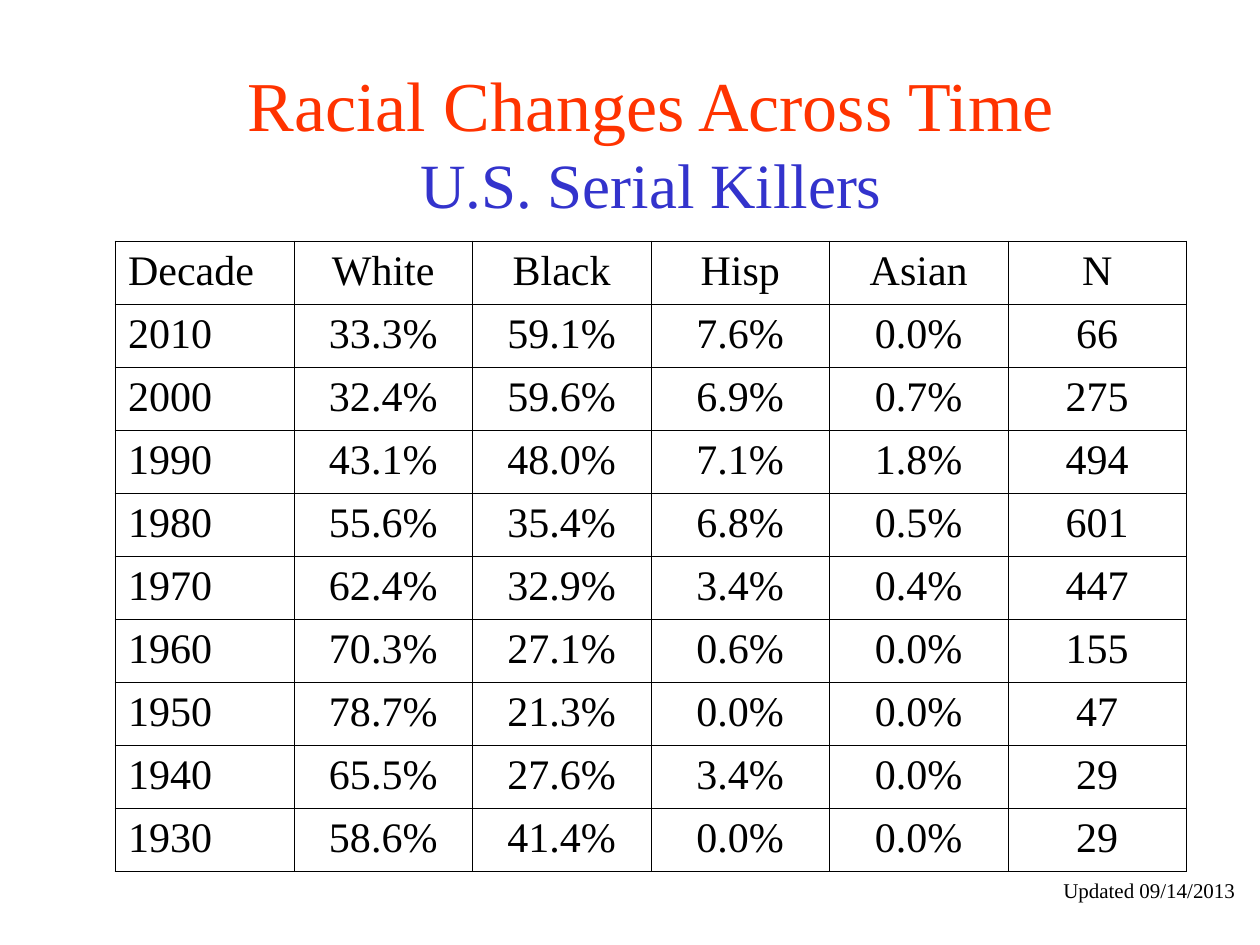
from dataclasses import dataclass

from lxml import etree
from pptx import Presentation
from pptx.dml.color import RGBColor
from pptx.enum.text import MSO_ANCHOR, MSO_AUTO_SIZE, PP_ALIGN
from pptx.oxml.ns import qn
from pptx.util import Pt

LEFT, CENTER = PP_ALIGN.LEFT, PP_ALIGN.CENTER
TOP, MIDDLE = MSO_ANCHOR.TOP, MSO_ANCHOR.MIDDLE
NO_FIT, GROW = MSO_AUTO_SIZE.NONE, MSO_AUTO_SIZE.SHAPE_TO_FIT_TEXT
TITLE_ONLY = 5


@dataclass(frozen=True)
class Theme:
    face: str = "Times New Roman"
    red: str = "FF3300"
    blue: str = "3333CC"
    ink: str = "000000"
    head: int = 40
    sub: int = 36
    cell: int = 24
    note: int = 12
    thin: float = 0.45
    thick: float = 1.08


THEME = Theme()

RATES = [
    ("Decade", "White", "Black", "Hisp", "Asian", "N"),
    ("2010", "33.3%", "59.1%", "7.6%", "0.0%", "66"),
    ("2000", "32.4%", "59.6%", "6.9%", "0.7%", "275"),
    ("1990", "43.1%", "48.0%", "7.1%", "1.8%", "494"),
    ("1980", "55.6%", "35.4%", "6.8%", "0.5%", "601"),
    ("1970", "62.4%", "32.9%", "3.4%", "0.4%", "447"),
    ("1960", "70.3%", "27.1%", "0.6%", "0.0%", "155"),
    ("1950", "78.7%", "21.3%", "0.0%", "0.0%", "47"),
    ("1940", "65.5%", "27.6%", "3.4%", "0.0%", "29"),
    ("1930", "58.6%", "41.4%", "0.0%", "0.0%", "29"),
]


def put(item, values):
    for name, value in values.items():
        setattr(item, name, value)


def add_run(para, text, size, color):
    run = para.add_run()
    run.text = text
    put(run.font, {"name": THEME.face, "size": Pt(size), "bold": False})
    run.font.color.rgb = RGBColor.from_string(color)


def add_title(slide):
    title = slide.shapes.title
    put(title, {"left": Pt(66), "top": Pt(36),
                "width": Pt(612), "height": Pt(90)})
    frame = title.text_frame
    put(frame, {"vertical_anchor": MIDDLE, "auto_size": NO_FIT,
                "word_wrap": True})
    para = frame.paragraphs[0]
    para.alignment = CENTER
    add_run(para, "Racial Changes Across Time", THEME.head, THEME.red)
    para.add_line_break()
    add_run(para, "U.S. Serial Killers", THEME.sub, THEME.blue)


def add_edge(cell, side, width):
    props = cell._tc.get_or_add_tcPr()
    line = etree.SubElement(props, qn(f"a:ln{side}"), w=str(Pt(width)))
    fill = etree.SubElement(line, qn("a:solidFill"))
    etree.SubElement(fill, qn("a:srgbClr"), val=THEME.ink)


def add_grid(slide, data):
    rows, cols = len(data), len(data[0])
    grid = slide.shapes.add_table(
        rows, cols, Pt(66), Pt(138), Pt(612), Pt(360)).table
    put(grid, {"first_row": False, "horz_banding": False})
    for r, row in enumerate(data):
        for c, text in enumerate(row):
            cell = grid.cell(r, c)
            put(cell, {"vertical_anchor": TOP,
                       "margin_left": Pt(7.2), "margin_right": Pt(7.2),
                       "margin_top": Pt(3.6), "margin_bottom": Pt(3.6)})
            para = cell.text_frame.paragraphs[0]
            para.alignment = CENTER if c else LEFT
            add_run(para, text, THEME.cell, THEME.ink)
            # Outer edges are thicker than inner ones
            outer = {"L": c == 0, "R": c == cols - 1,
                     "T": r == 0, "B": r == rows - 1}
            for side, edge in outer.items():
                add_edge(cell, side, THEME.thick if edge else THEME.thin)
            cell.fill.background()


def add_note(slide, text):
    box = slide.shapes.add_textbox(Pt(600.5), Pt(498), Pt(112.5), Pt(21.6))
    frame = box.text_frame
    put(frame, {"word_wrap": False, "auto_size": GROW})
    add_run(frame.paragraphs[0], text, THEME.note, THEME.ink)


def main():
    deck = Presentation()
    put(deck, {"slide_width": Pt(720), "slide_height": Pt(540)})
    slide = deck.slides.add_slide(deck.slide_layouts[TITLE_ONLY])

    # Heading
    add_title(slide)
    # Shares by decade
    add_grid(slide, RATES)
    # Date of last update
    add_note(slide, "Updated 09/14/2013")

    deck.save("out.pptx")


if __name__ == "__main__":
    main()
